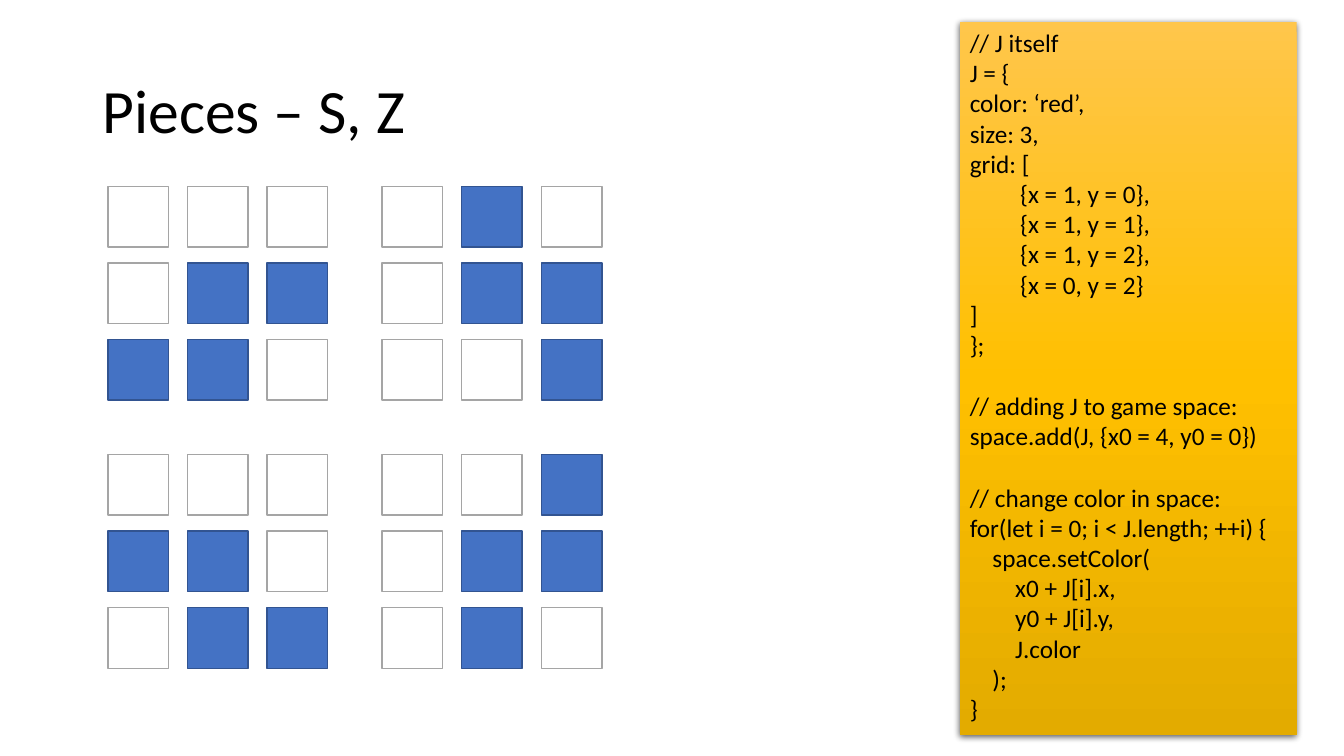
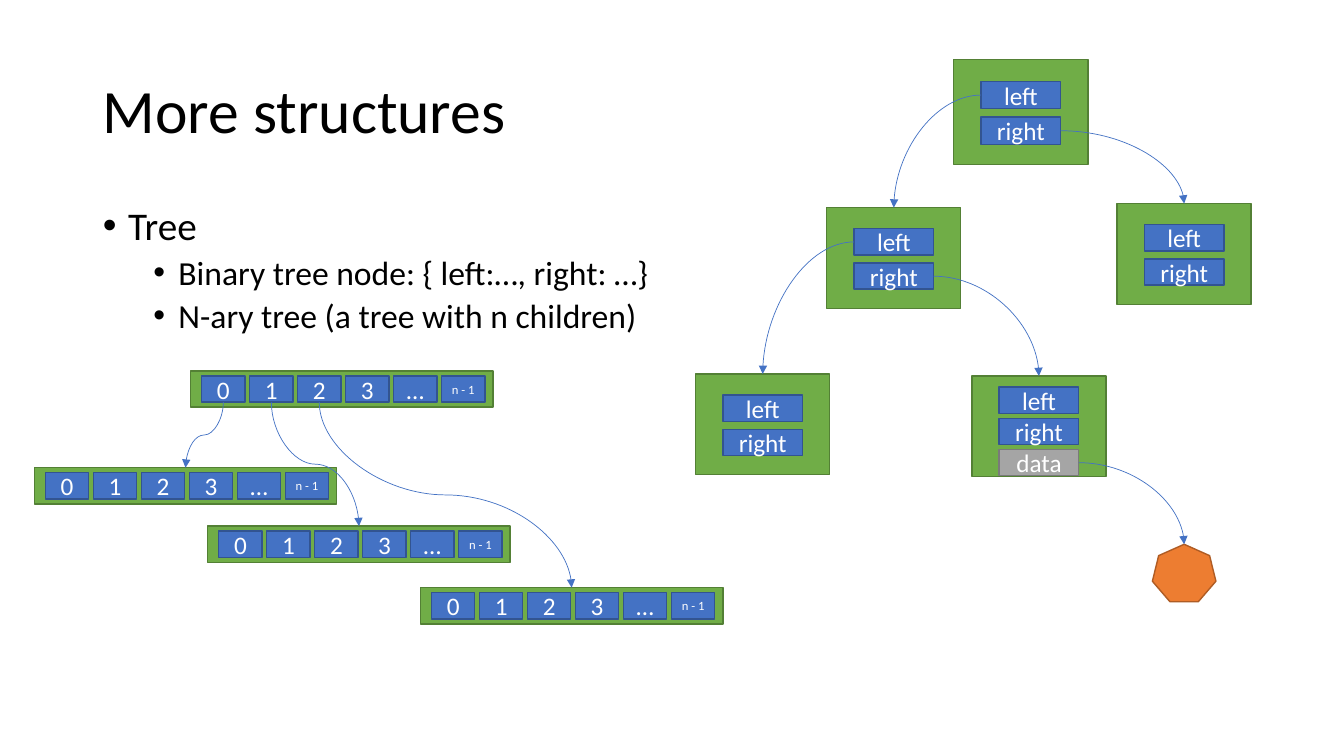
import copy

import pptx
import pptx.dml.color
import pptx.enum.shapes
import pptx.enum.text
import pptx.oxml
import pptx.oxml.ns
import pptx.util
from lxml import etree

Inches = pptx.util.Inches
Pt = pptx.util.Pt
qn = pptx.oxml.ns.qn
SHAPE = pptx.enum.shapes.MSO_SHAPE
ALIGN = pptx.enum.text.PP_ALIGN
ANCHOR = pptx.enum.text.MSO_ANCHOR

FONT = "Calibri"
BLACK, WHITE = "000000", "FFFFFF"
CONNECTOR_BLUE = "4472C4"
# Fill and line of each kind of box
BLUE = ("4472C4", "325491")
GREEN = ("70AD47", "538035")
GRAY = ("A5A5A5", "7A7A7A")
ORANGE = ("ED7D31", "AF5C24")
EMPTY = ("FFFFFF", "A5A5A5")
TOP, LEFT, BOTTOM, RIGHT = range(4)  # connection sites of a rectangle

PIECES = [
    [("...", ".##", "##."), (".#.", ".##", "..#")],
    [("...", "##.", ".##"), ("..#", ".##", ".#.")],
]
CODE_BLOCKS = [
    [
        "// J itself",
        "J = {",
        "color: ‘red’,",
        "size: 3,",
        "grid: [",
        "\t{x = 1, y = 0},",
        "\t{x = 1, y = 1},",
        "\t{x = 1, y = 2},",
        "\t{x = 0, y = 2}",
        "]",
        "};",
    ],
    [
        "// adding J to game space:",
        "space.add(J, {x0 = 4, y0 = 0})",
    ],
    [
        "// change color in space:",
        "for(let i = 0; i < J.length; ++i) {",
        "    space.setColor(",
        "        x0 + J[i].x,",
        "        y0 + J[i].y,",
        "        J.color",
        "    );",
        "}",
    ],
]


def rgb(value):
    return pptx.dml.color.RGBColor.from_string(value)


def set_font(paragraph, size, color):
    paragraph.font.name = FONT
    paragraph.font.size = Pt(size)
    paragraph.font.color.rgb = rgb(color)


def place(shape, left, top, width, height):
    shape.left, shape.top = Inches(left), Inches(top)
    shape.width, shape.height = Inches(width), Inches(height)


def add_box(shapes, left, top, width, height, colors, text="", size=18,
            kind=SHAPE.RECTANGLE):
    shape = shapes.add_shape(kind, Inches(left), Inches(top), Inches(width), Inches(height))
    shape.shadow.inherit = False
    fill, line = colors
    shape.fill.solid()
    shape.fill.fore_color.rgb = rgb(fill)
    shape.line.color.rgb = rgb(line)
    shape.line.width = Pt(1)
    if text:
        shape.text_frame.vertical_anchor = ANCHOR.MIDDLE
        paragraph = shape.text_frame.paragraphs[0]
        paragraph.text = text
        paragraph.alignment = ALIGN.CENTER
        set_font(paragraph, size, WHITE)
    return shape


def add_slide(presentation, layout_name, title):
    layout = presentation.slide_layouts.get_by_name(layout_name)
    slide = presentation.slides.add_slide(layout)
    place(slide.shapes.title, 0.92, 0.4, 11.5, 1.45)
    frame = slide.shapes.title.text_frame
    frame.vertical_anchor = ANCHOR.MIDDLE
    paragraph = frame.paragraphs[0]
    paragraph.text = title
    paragraph.alignment = ALIGN.LEFT
    paragraph.line_spacing = 0.9
    set_font(paragraph, 44, BLACK)
    return slide


def add_piece(slide, left, top, rows):
    for row, cells in enumerate(rows):
        for column, cell in enumerate(cells):
            add_box(slide.shapes, left + column * 0.79, top + row * 0.76, 0.6, 0.6,
                    BLUE if cell == "#" else EMPTY)


def add_code_panel(slide, left, top, width, height):
    panel = add_box(slide.shapes, left, top, width, height, EMPTY)
    panel.line.fill.background()

    panel.fill.gradient()
    panel.fill.gradient_angle = 270
    stop_list = panel._element.spPr.find(".//" + qn("a:gsLst"))
    stop_list.append(copy.deepcopy(stop_list[0]))
    gradient = [(0, "FFC64B"), (0.5, "FFC000"), (1, "E3AB00")]
    for stop, (position, color) in zip(panel.fill.gradient_stops, gradient):
        stop.position = position
        stop.color.rgb = rgb(color)

    effects = panel._element.spPr.find(qn("a:effectLst"))
    shadow = etree.SubElement(effects, qn("a:outerShdw"), blurRad=str(Pt(4.5)),
                              dist=str(Pt(1.5)), dir="5400000", rotWithShape="0")
    color = etree.SubElement(shadow, qn("a:srgbClr"), val=BLACK)
    etree.SubElement(color, qn("a:alpha"), val="63000")

    frame = panel.text_frame
    frame.vertical_anchor = ANCHOR.TOP
    paragraph = frame.paragraphs[0]
    for block_index, block in enumerate(CODE_BLOCKS):
        for line_index, line in enumerate(block):
            if block_index or line_index:
                paragraph = frame.add_paragraph()
            paragraph.text = line
            paragraph.alignment = ALIGN.LEFT
            if block_index and not line_index:
                paragraph.space_before = Pt(22)
            set_font(paragraph, 18, BLACK)


def add_bullets(slide, items):
    """Fill the body with (level, text) items."""
    body = slide.placeholders[1]
    place(body, 0.92, 2, 11.5, 4.76)
    frame = body.text_frame
    frame.auto_size = pptx.enum.text.MSO_AUTO_SIZE.NONE
    for index, (level, text) in enumerate(items):
        paragraph = frame.add_paragraph() if index else frame.paragraphs[0]
        paragraph.text = text
        paragraph.level = level
        paragraph.line_spacing = 0.9
        paragraph.space_before = Pt(5 if index else 0)
        properties = paragraph._p.get_or_add_pPr()
        properties.set("marL", str(Inches(0.25 + 0.5 * level)))
        properties.set("indent", str(Inches(-0.25)))
        etree.SubElement(properties, qn("a:buChar"), char="•")
        set_font(paragraph, 28 - 4 * level, BLACK)


def add_tree_node(slide, left, top, height=1, fields=("left", "right"),
                  first=0.21, pitch=0.34):
    """Draw a node; return its frame and its field boxes."""
    shapes = slide.shapes.add_group_shape().shapes
    frame = add_box(shapes, left, top, 1.33, height, GREEN)
    boxes = [
        add_box(shapes, left + 0.27, top + (first + pitch * index) * height, 0.79,
                0.26 * height, GRAY if field == "data" else BLUE, field)
        for index, field in enumerate(fields)
    ]
    return frame, boxes


def add_array_node(slide, left, top):
    """Draw a node with n children; return its frame and its cells."""
    shapes = slide.shapes.add_group_shape().shapes
    frame = add_box(shapes, left, top, 3, 0.36, GREEN)
    labels = ["0", "1", "2", "3", "…", "n - 1"]
    pitch = 2.38 / (len(labels) - 1)
    cells = [
        add_box(shapes, left + 0.11 + pitch * index, top + 0.05, 0.43, 0.26, BLUE,
                label, 9 if label == "n - 1" else 18)
        for index, label in enumerate(labels)
    ]
    return frame, cells


def add_curve(slide, source, site, target):
    """Draw an arrow from a site of source to the top of target."""
    curve = slide.shapes.add_connector(pptx.enum.shapes.MSO_CONNECTOR.CURVE, 0, 0, 0, 0)
    curve.begin_connect(source, site)
    curve.end_connect(target, TOP)
    curve.line.color.rgb = rgb(CONNECTOR_BLUE)
    curve.line.width = Pt(0.5)
    properties = curve._element.spPr
    etree.SubElement(properties.find(qn("a:ln")), qn("a:tailEnd"), type="triangle")
    etree.SubElement(properties, qn("a:effectLst"))
    if site == BOTTOM:
        turn_downward(curve)
    else:
        properties.find(qn("a:prstGeom")).set("prst", "curvedConnector2")


def turn_downward(curve):
    """Rotate an S-curve so that it leaves and arrives vertically."""
    goes_right = curve.end_x > curve.begin_x
    center_x = curve.left + curve.width // 2
    center_y = curve.top + curve.height // 2
    curve.width, curve.height = curve.height, curve.width
    curve.left = center_x - curve.width // 2
    curve.top = center_y - curve.height // 2
    curve.rotation = 270 if goes_right else 90
    curve._element.spPr.find(qn("a:xfrm")).set("flipH", "1" if goes_right else "0")


def add_binary_tree(slide, left, top):
    root, root_fields = add_tree_node(slide, left + 2.56, top, 1.04)
    inner, inner_fields = add_tree_node(slide, left + 1.3, top + 1.47)
    right_child, _ = add_tree_node(slide, left + 4.18, top + 1.43)
    leaf, _ = add_tree_node(slide, left, top + 3.12)
    data_node, data_fields = add_tree_node(
        slide, left + 2.74, top + 3.14, fields=("left", "right", "data"),
        first=0.11, pitch=0.31)
    data_value = add_box(slide.shapes, left + 4.53, top + 4.81, 0.63, 0.57, ORANGE,
                         kind=SHAPE.HEPTAGON)
    add_curve(slide, root_fields[0], LEFT, inner)
    add_curve(slide, root_fields[1], RIGHT, right_child)
    add_curve(slide, inner_fields[0], LEFT, leaf)
    add_curve(slide, inner_fields[1], RIGHT, data_node)
    add_curve(slide, data_fields[2], RIGHT, data_value)


def add_n_ary_tree(slide, left, top):
    _, cells = add_array_node(slide, left + 1.55, top)
    for cell, (x, y) in zip(cells, [(0, 0.96), (1.72, 1.54), (3.83, 2.15)]):
        child, _ = add_array_node(slide, left + x, top + y)
        add_curve(slide, cell, BOTTOM, child)


def build_pieces_slide(presentation):
    slide = add_slide(presentation, "Title Only", "Pieces – S, Z")
    for row, pieces in enumerate(PIECES):
        for column, piece in enumerate(pieces):
            add_piece(slide, 1.07 + column * 2.72, 1.85 + row * 2.66, piece)
    add_code_panel(slide, 9.52, 0.22, 3.34, 7.07)


def build_structures_slide(presentation):
    slide = add_slide(presentation, "Title and Content", "More structures")
    add_bullets(slide, [
        (0, "Tree"),
        (1, "Binary tree node: { left:…, right: …}"),
        (1, "N-ary tree (a tree with n children)"),
    ])
    add_binary_tree(slide, 6.9, 0.59)
    add_n_ary_tree(slide, 0.34, 3.68)


def main():
    presentation = pptx.Presentation()
    presentation.slide_width = Inches(13.33)
    presentation.slide_height = Inches(7.5)
    build_pieces_slide(presentation)
    build_structures_slide(presentation)
    presentation.save("out.pptx")


if __name__ == "__main__":
    main()
